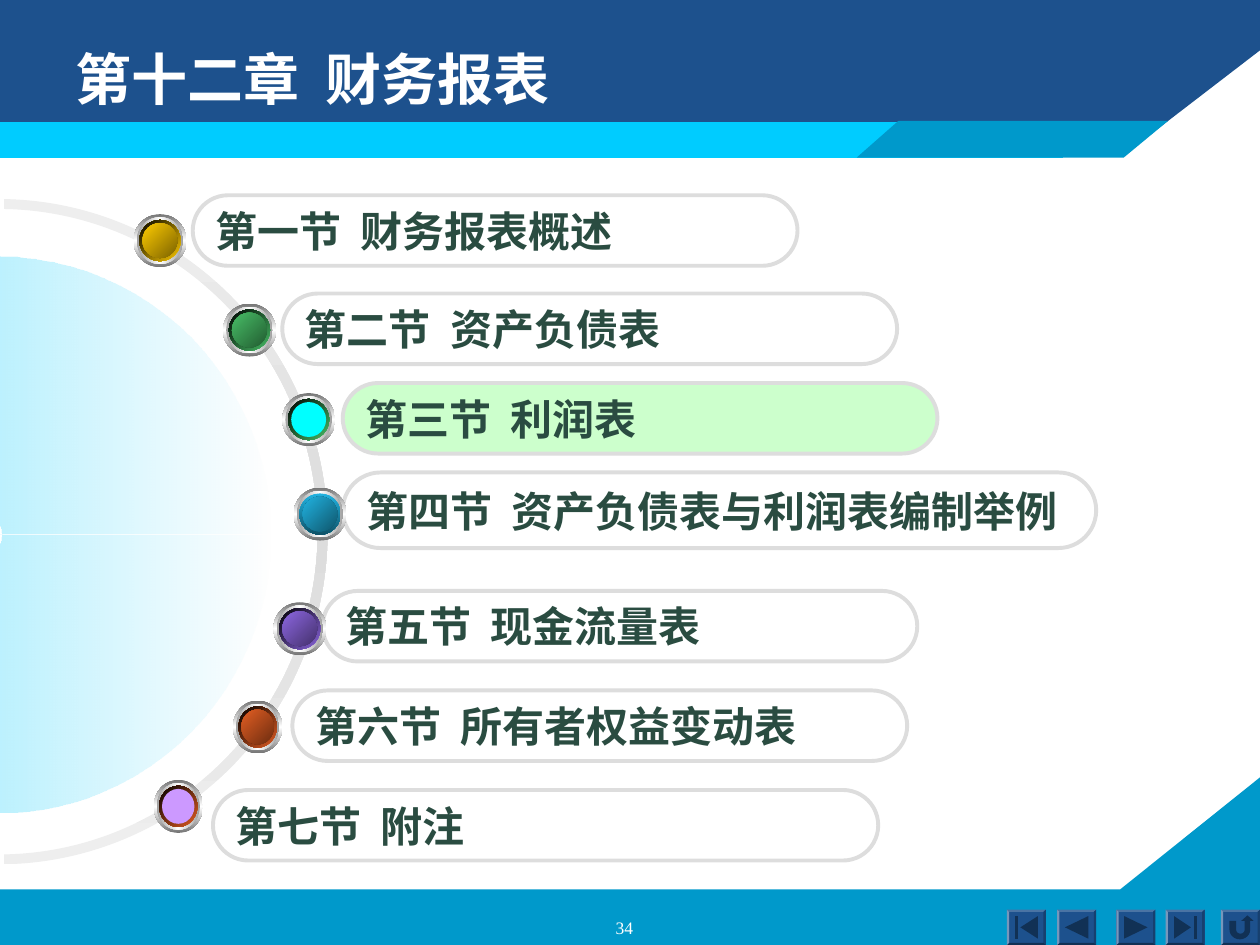
from math import cos, pi, sin

from lxml.etree import SubElement
from pptx import Presentation
from pptx.dml.color import RGBColor
from pptx.enum.shapes import MSO_SHAPE
from pptx.enum.text import MSO_ANCHOR, PP_ALIGN
from pptx.oxml.ns import qn
from pptx.util import Inches, Pt

WIDTH, HEIGHT = 10, 7.5
NAVY, SKY, CYAN = "1D518D", "0099CB", "00CCFF"
BAR_LINE, BAR_TEXT, WHITE = "DDDDDD", "2A4C41", "FFFFFF"

TITLE = "第十二章  财务报表"
PAGE_NUMBER = "34"

SECTIONS = [
    dict(text="第一节  财务报表概述", bar=(1.53, 1.55, 4.8, 0.56), ball=(1.06, 1.7, 0.42),
         rim=("FFCC00", "000000", 225), core=("7B6200", "FFCC00")),
    dict(text="第二节  资产负债表", bar=(2.24, 2.33, 4.88, 0.56), ball=(1.77, 2.41, 0.42),
         rim=("48BE67", "000000", 225), core=("225C31", "48BE67")),
    dict(text="第三节  利润表", bar=(2.72, 3.04, 4.72, 0.56), ball=(2.24, 3.12, 0.42),
         rim=("48BE67", "000000", 225), core=("00FFFF",), fill="CCFFCC"),
    dict(text="第四节  资产负债表与利润表编制举例", bar=(2.72, 3.75, 5.98, 0.6), ball=(2.33, 3.87, 0.42),
         rim=("21B3E1", "0F5267", 90), core=("0F566C", "21B3E1")),
    dict(text="第五节  现金流量表", bar=(2.56, 4.69, 4.72, 0.56), ball=(2.17, 4.78, 0.42),
         rim=("8D67E1", "000000", 225), core=("44316C", "8D67E1")),
    dict(text="第六节  所有者权益变动表", bar=(2.32, 5.48, 4.88, 0.56), ball=(1.85, 5.56, 0.39),
         rim=("E35E23", "000000", 225), core=("6D2D10", "E35E23")),
    dict(text="第七节  附注", bar=(1.69, 6.27, 5.28, 0.56), ball=(1.22, 6.19, 0.39),
         rim=("E35E23", "000000", 225), core=("CC99FF",)),
]
BALL_HEIGHT = 0.42

BANDS = [
    (SKY, [(0, 7.06), (8.89, 7.06), (10, 6.17), (10, 7.5), (0, 7.5)]),
    (NAVY, [(0, 0), (10, 0), (10, 0.4), (8.92, 1.23), (0, 1.24)]),
    (CYAN, [(0, 0.97), (8.44, 0.97), (8.44, 1.25), (0, 1.25)]),
    (SKY, [(6.8, 1.25), (8.92, 1.25), (9.27, 0.96), (7.13, 0.96)]),
]

BUTTON_TOP, BUTTON_WIDTH, BUTTON_HEIGHT, BEVEL = 7.22, 0.31, 0.28, 0.06
ICON_COLOUR = "113155"
BEVEL_COLOURS = ["4A74A4", "17406F", "113155", "7797BB"]
HOOK = ([(0.22, 0.32), (0.39, 0.32), (0.39, 0.57)]
        + [(0.5 - 0.11 * cos(pi * i / 8), 0.57 + 0.11 * sin(pi * i / 8)) for i in range(1, 8)]
        + [(0.61, 0.57), (0.61, 0.32), (0.52, 0.32), (0.68, 0.16), (0.84, 0.32), (0.75, 0.32)]
        + [(0.485 + 0.265 * cos(pi * i / 12), 0.57 + 0.27 * sin(pi * i / 12)) for i in range(13)])
BUTTONS = [
    (7.99, [[(0.35, 0.5), (0.8, 0.18), (0.8, 0.82)],
            [(0.22, 0.18), (0.28, 0.18), (0.28, 0.82), (0.22, 0.82)]]),
    (8.39, [[(0.2, 0.5), (0.8, 0.18), (0.8, 0.82)]]),
    (8.86, [[(0.2, 0.18), (0.8, 0.5), (0.2, 0.82)]]),
    (9.25, [[(0.22, 0.18), (0.65, 0.5), (0.22, 0.82)],
            [(0.74, 0.18), (0.8, 0.18), (0.8, 0.82), (0.74, 0.82)]]),
    (9.69, [HOOK]),
]


def colour(value):
    return RGBColor.from_string(value)


def paint(shape, fill=None, line=None):
    shape.shadow.inherit = False
    if fill:
        shape.fill.solid()
        shape.fill.fore_color.rgb = colour(fill)
    else:
        shape.fill.background()
    if line:
        shape.line.color.rgb = colour(line)
        shape.line.width = Pt(2.25)
    else:
        shape.line.fill.background()


def shade(shape, colours, angle, opacities=None):
    paint(shape)
    properties = shape.fill._xPr
    empty = properties.find(qn("a:noFill"))
    gradient = empty.makeelement(qn("a:gradFill"), {"rotWithShape": "1"})
    properties.replace(empty, gradient)
    stops = SubElement(gradient, qn("a:gsLst"))
    for i, value in enumerate(colours):
        stop = SubElement(stops, qn("a:gs"), pos=str(100000 * i // (len(colours) - 1)))
        tint = SubElement(stop, qn("a:srgbClr"), val=value)
        if opacities:
            SubElement(tint, qn("a:alpha"), val=str(opacities[i] * 1000))
    SubElement(gradient, qn("a:lin"), ang=str(angle * 60000), scaled="0")


def write(shape, text, size, font="Arial", ink=WHITE, bold=True,
          align=PP_ALIGN.LEFT, anchor=MSO_ANCHOR.TOP, wrap=True):
    frame = shape.text_frame
    frame.word_wrap = wrap
    frame.vertical_anchor = anchor
    paragraph = frame.paragraphs[0]
    paragraph.alignment = align
    run = paragraph.add_run()
    run.text = text
    run.font.size = Pt(size)
    run.font.name = font
    run.font.bold = bold
    run.font.color.rgb = colour(ink)


def add_preset(slide, kind, box, adjustments=()):
    shape = slide.shapes.add_shape(kind, *map(Inches, box))
    for i, value in enumerate(adjustments):
        shape.adjustments[i] = value
    return shape


def add_polygon(slide, points, fill):
    corners = [(Inches(x), Inches(y)) for x, y in points]
    builder = slide.shapes.build_freeform(*corners[0])
    builder.add_line_segments(corners[1:], close=True)
    paint(builder.convert_to_shape(), fill)


def add_button(slide, left, icon):
    def place(points):
        return [(left + x * BUTTON_WIDTH, BUTTON_TOP + y * BUTTON_HEIGHT) for x, y in points]

    outer = [(0, 0), (1, 0), (1, 1), (0, 1)]
    inner = [(abs(x - BEVEL), abs(y - BEVEL)) for x, y in outer]
    add_polygon(slide, place(outer), NAVY)
    for i, tone in enumerate(BEVEL_COLOURS):
        j = (i + 1) % 4
        add_polygon(slide, place([outer[i], outer[j], inner[j], inner[i]]), tone)
    for part in icon:
        add_polygon(slide, place(part), ICON_COLOUR)


def add_ball(slide, left, top, width, rim, core):
    layers = [
        (0, ("757575", "FFFFFF", "757575"), 90),
        (0.06, ("A1A1A1", "FFFFFF", "A1A1A1"), 180),
        (0.11, rim[:2], rim[2]),
        (0.17, core, 225),
    ]
    for inset, colours, angle in layers:
        share = 1 - 2 * inset
        disc = add_preset(slide, MSO_SHAPE.OVAL, (
            left + inset * width, top + inset * BALL_HEIGHT, share * width, share * BALL_HEIGHT))
        if len(colours) == 1:
            paint(disc, colours[0])
        else:
            shade(disc, colours, angle)


def add_bar(slide, section):
    bar = add_preset(slide, MSO_SHAPE.ROUNDED_RECTANGLE, section["bar"], [0.5])
    paint(bar, section.get("fill"), BAR_LINE)
    write(bar, section["text"], 24, ink=BAR_TEXT, anchor=MSO_ANCHOR.MIDDLE, wrap=False)


def main():
    deck = Presentation()
    deck.slide_width, deck.slide_height = Inches(WIDTH), Inches(HEIGHT)
    slide = deck.slides.add_slide(deck.slide_layouts[5])

    for fill, points in BANDS:
        add_polygon(slide, points, fill)
    for left, icon in BUTTONS:
        add_button(slide, left, icon)

    track = add_preset(slide, MSO_SHAPE.BLOCK_ARC, (-2.62, 1.58, 5.22, 5.28), (162.52, 53.48, 0.015))
    shade(track, ("EEEEEE", "DDDDDD", "EEEEEE"), 90)
    glow = add_preset(slide, MSO_SHAPE.BLOCK_ARC, (-2.15, 2.04, 4.3, 4.41), (108.1, 107.9, 0.497))
    shade(glow, (CYAN, "FEFEFE"), 0, (56, 48))

    title = slide.shapes.title
    title.left, title.top, title.width, title.height = map(Inches, (0.5, 0.3, 9, 1.25))
    write(title, TITLE, 32, font="DejaVu Sans")
    slide.shapes._spTree.append(title._element)

    for section in SECTIONS:
        add_bar(slide, section)
    for section in SECTIONS:
        add_ball(slide, *section["ball"], section["rim"], section["core"])

    number = slide.shapes.add_textbox(*map(Inches, (3.79, 7.23, 2.33, 0.18)))
    write(number, PAGE_NUMBER, 10, font="Times New Roman", bold=False, align=PP_ALIGN.CENTER)

    deck.save("out.pptx")


if __name__ == "__main__":
    main()
